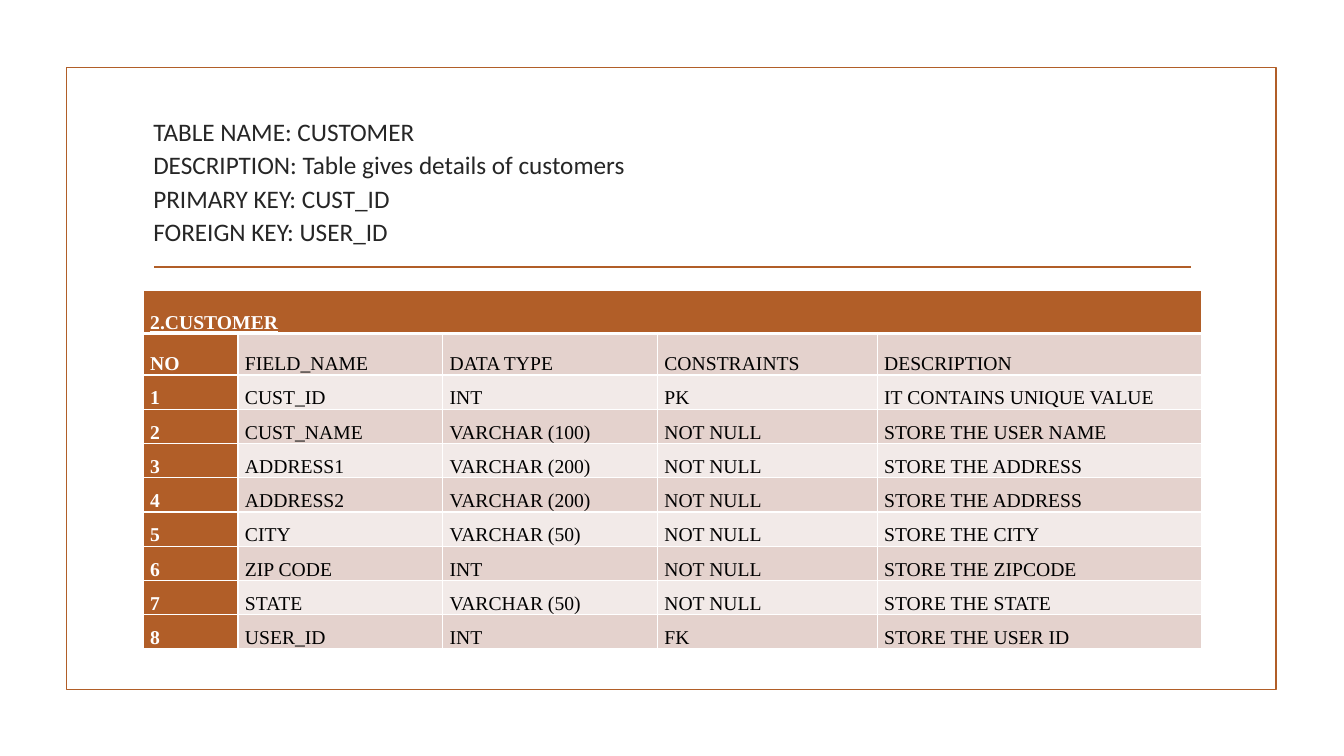
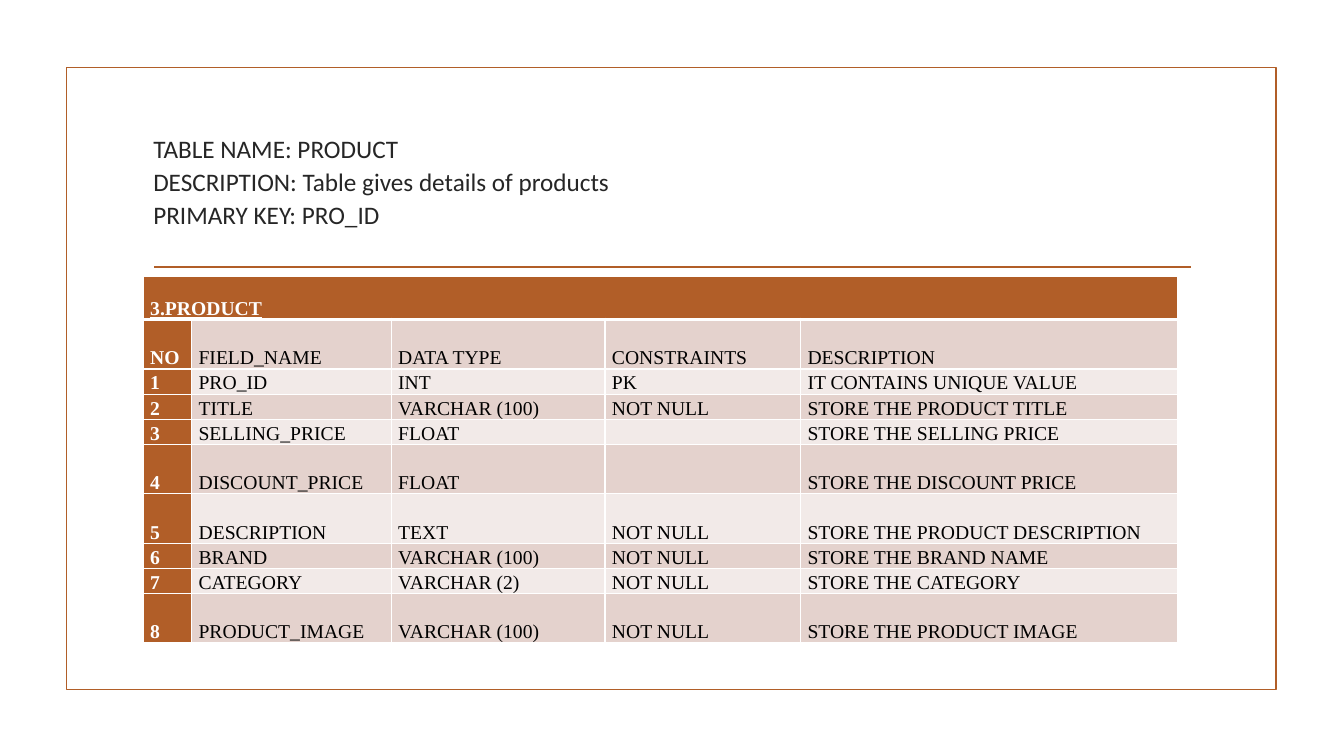
from lxml.etree import SubElement
from pptx import Presentation
from pptx.dml.color import RGBColor
from pptx.enum.shapes import MSO_CONNECTOR, MSO_SHAPE
from pptx.enum.text import MSO_ANCHOR, MSO_AUTO_SIZE, PP_ALIGN
from pptx.oxml.ns import qn
from pptx.util import Inches, Pt

RUST, DARK, BLACK, WHITE = "B15E28", "262626", "000000", "FFFFFF"
BANDS = ("E4D2CD", "F2EAE8")
HEADS = ("NO", "FIELD_NAME", "DATA TYPE", "CONSTRAINTS", "DESCRIPTION")

CLIENT = (
    ("CUST_ID", "INT", "PK", "IT CONTAINS UNIQUE VALUE"),
    ("CUST_NAME", "VARCHAR (100)", "NOT NULL", "STORE THE USER NAME"),
    ("ADDRESS1", "VARCHAR (200)", "NOT NULL", "STORE THE ADDRESS"),
    ("ADDRESS2", "VARCHAR (200)", "NOT NULL", "STORE THE ADDRESS"),
    ("CITY", "VARCHAR (50)", "NOT NULL", "STORE THE CITY"),
    ("ZIP CODE", "INT", "NOT NULL", "STORE THE ZIPCODE"),
    ("STATE", "VARCHAR (50)", "NOT NULL", "STORE THE STATE"),
    ("USER_ID", "INT", "FK", "STORE THE USER ID"),
)
PRODUCT = (
    ("PRO_ID", "INT", "PK", "IT CONTAINS UNIQUE VALUE"),
    ("TITLE", "VARCHAR (100)", "NOT NULL", "STORE THE PRODUCT TITLE"),
    ("SELLING_PRICE", "FLOAT", "", "STORE THE SELLING PRICE"),
    ("DISCOUNT_PRICE", "FLOAT", "", "STORE THE DISCOUNT PRICE"),
    ("DESCRIPTION", "TEXT", "NOT NULL", "STORE THE PRODUCT DESCRIPTION"),
    ("BRAND", "VARCHAR (100)", "NOT NULL", "STORE THE BRAND NAME"),
    ("CATEGORY", "VARCHAR (2)", "NOT NULL", "STORE THE CATEGORY"),
    ("PRODUCT_IMAGE", "VARCHAR (100)", "NOT NULL", "STORE THE PRODUCT IMAGE"),
)
LOW, TALL = 0.25, 0.49

SLIDES = (
    {
        "title": ("TABLE NAME: CUSTOMER",
                  "DESCRIPTION: Table gives details of customers",
                  "PRIMARY KEY: CUST_ID", "FOREIGN KEY: USER_ID"),
        "name": "2.CUSTOMER",
        "rows": CLIENT,
        "place": (1.42, 2.88),
        "widths": (0.94, 2.03, 2.13, 2.18, 3.22),
        "heights": (0.43, 0.41) + (0.34,) * len(CLIENT),
    },
    {
        "title": ("TABLE NAME: PRODUCT",
                  "DESCRIPTION: Table gives details of products",
                  "PRIMARY KEY: PRO_ID"),
        "name": "3.PRODUCT",
        "rows": PRODUCT,
        "place": (1.42, 2.74),
        "widths": (0.48, 1.98, 2.12, 1.94, 3.74),
        "heights": (0.43, TALL, LOW, LOW, LOW, TALL, TALL, LOW, LOW, TALL),
    },
)


def tint(code):
    return RGBColor.from_string(code)


def style(para, face, size, color, bold=False, under=False):
    para.alignment = PP_ALIGN.LEFT
    para.line_spacing = 1.1
    para.space_before = Pt(0)
    para.space_after = Pt(6)
    for run in para.runs:
        font = run.font
        font.name, font.size = face, Pt(size)
        font.bold, font.underline = bold, under
        font.color.rgb = tint(color)


def add_frame(slide, left, top, width, height):
    frame = slide.shapes.add_shape(
        MSO_SHAPE.RECTANGLE, Inches(left), Inches(top), Inches(width), Inches(height))
    frame.shadow.inherit = False
    frame.fill.background()
    rule = slide.shapes.add_connector(
        MSO_CONNECTOR.STRAIGHT, Inches(left + 0.87), Inches(top + 1.98),
        Inches(left + width - 0.85), Inches(top + 1.98))
    SubElement(rule.element.spPr, qn("a:effectLst"))
    for shape in (frame, rule):
        shape.line.color.rgb = tint(RUST)
        shape.line.width = Pt(1.25)


def add_title(slide, lines, left, top, width, height):
    title = slide.shapes.title
    title.left, title.top = Inches(left), Inches(top)
    title.width, title.height = Inches(width), Inches(height)
    frame = title.text_frame
    frame.text = "\v".join(lines)
    frame.word_wrap = True
    frame.auto_size = MSO_AUTO_SIZE.NONE
    frame.vertical_anchor = MSO_ANCHOR.MIDDLE
    style(frame.paragraphs[0], "Calibri", 18, DARK)


def edge(cell, **widths):
    props = cell._tc.get_or_add_tcPr()
    for side in "LRTB":
        line = SubElement(props, qn("a:ln" + side), w=str(Pt(widths.get(side, 1))))
        fill = SubElement(line, qn("a:solidFill"))
        SubElement(fill, qn("a:srgbClr"), val=WHITE)


def fill_cell(cell, text, row, col):
    strong = row == 0 or col == 0
    edge(cell, T=3 if row == 1 else 1, B=3 if row == 0 else 1)
    cell.fill.solid()
    cell.fill.fore_color.rgb = tint(RUST if strong else BANDS[(row - 1) % 2])
    cell.margin_left = cell.margin_right = Inches(0.07)
    cell.margin_top, cell.margin_bottom = Inches(0.01), 0
    cell.vertical_anchor = MSO_ANCHOR.BOTTOM
    para = cell.text_frame.paragraphs[0]
    para.text = text
    style(para, "Times New Roman", 14, WHITE if strong else BLACK, strong, row == 0)
    if not text:
        SubElement(para._p, qn("a:endParaRPr"), sz="1400")


def add_grid(slide, name, rows, left, top, widths, heights):
    body = [(str(num), *row) for num, row in enumerate(rows, 1)]
    cells = [(name, "", "", "", ""), HEADS, *body]
    table = slide.shapes.add_table(
        len(cells), len(widths), Inches(left), Inches(top),
        Inches(sum(widths)), Inches(sum(heights))).table
    for column, width in zip(table.columns, widths):
        column.width = Inches(width)
    for line, height in zip(table.rows, heights):
        line.height = Inches(height)
    for row, texts in enumerate(cells):
        for col, text in enumerate(texts):
            fill_cell(table.cell(row, col), text, row, col)
    table.cell(0, 0).merge(table.cell(0, len(widths) - 1))


def add_slide(deck, data):
    slide = deck.slides.add_slide(deck.slide_layouts[5])
    add_frame(slide, 0.66, 0.67, 12, 6.17)
    add_title(slide, data["title"], 1.42, 1.07, 10.5, 1.43)
    add_grid(slide, data["name"], data["rows"], *data["place"],
             data["widths"], data["heights"])


def main():
    deck = Presentation()
    deck.slide_width, deck.slide_height = Inches(13.33), Inches(7.5)
    for data in SLIDES:
        add_slide(deck, data)
    deck.save("out.pptx")


if __name__ == "__main__":
    main()
